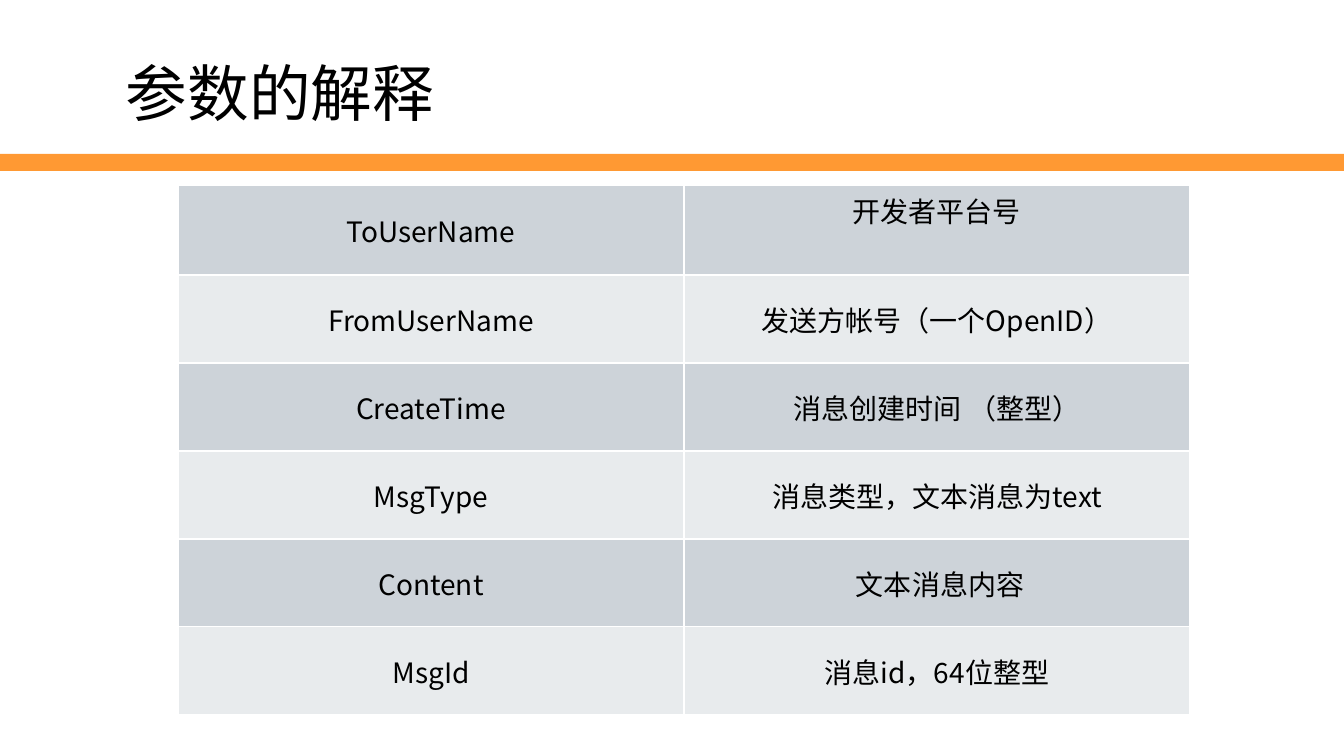
from lxml.etree import SubElement
from pptx import Presentation
from pptx.dml.color import RGBColor
from pptx.enum.shapes import MSO_SHAPE
from pptx.enum.text import MSO_ANCHOR as Anchor, PP_ALIGN as Align
from pptx.oxml.ns import qn
from pptx.util import Emu, Pt

# Content
TITLE = "参数的解释"
PARAMETERS = [
    ("ToUserName", "开发者平台号"),
    ("FromUserName", "发送方帐号（一个OpenID）"),
    ("CreateTime", "消息创建时间 （整型）"),
    ("MsgType", "消息类型，文本消息为text"),
    ("Content", " 文本消息内容"),
    ("MsgId", "消息id，64位整型"),
]

# Style and layout, in pixels
FONT = "Noto Sans CJK SC"
COLORS = {"text": "000000", "bar": "FF9933", "odd": "CDD3D9",
          "even": "E8EBED", "border": "FFFFFF"}
SLIDE_WIDTH, SLIDE_HEIGHT = 1344, 756
BAR_BOX = (0, 154, SLIDE_WIDTH, 17)
TITLE_BOX = (116, 59, 555, 76)
TABLE_LEFT, TABLE_TOP, COLUMN_WIDTH = 178, 185, 506
ROW_HEIGHTS = [90] + [88] * (len(PARAMETERS) - 1)
EMU_PER_PIXEL = 914400 / 100.8


def px(length):
    return Emu(round(length * EMU_PER_PIXEL))


def color(name):
    return RGBColor.from_string(COLORS[name])


def add_text(paragraph, text, size):
    run = paragraph.add_run()
    run.text = text
    run.font.size = Pt(size)
    run.font.name = FONT
    run.font.color.rgb = color("text")
    SubElement(run.font._element, qn("a:ea"), typeface=FONT)


def add_borders(cell):
    properties = cell._tc.get_or_add_tcPr()
    for position, side in enumerate(("a:lnL", "a:lnR", "a:lnT", "a:lnB")):
        line = properties.makeelement(qn(side), {"w": str(Pt(1))})
        fill = SubElement(line, qn("a:solidFill"))
        SubElement(fill, qn("a:srgbClr"), val=COLORS["border"])
        properties.insert(position, line)


presentation = Presentation()
presentation.slide_width = px(SLIDE_WIDTH)
presentation.slide_height = px(SLIDE_HEIGHT)
slide = presentation.slides.add_slide(presentation.slide_layouts[6])

# Orange bar
bar = slide.shapes.add_shape(MSO_SHAPE.RECTANGLE, *map(px, BAR_BOX))
bar.shadow.inherit = False
bar.fill.solid()
bar.fill.fore_color.rgb = color("bar")
bar.line.fill.background()

# Title
title_frame = slide.shapes.add_textbox(*map(px, TITLE_BOX)).text_frame
title_frame.word_wrap = True
title_frame.vertical_anchor = Anchor.MIDDLE
title_paragraph = title_frame.paragraphs[0]
title_paragraph.line_spacing = 0.9
title_paragraph.space_before = Pt(10)
add_text(title_paragraph, TITLE, 44)

# Parameter table
table = slide.shapes.add_table(
    len(PARAMETERS), 2, px(TABLE_LEFT), px(TABLE_TOP),
    px(2 * COLUMN_WIDTH), px(sum(ROW_HEIGHTS))).table
for column in table.columns:
    column.width = px(COLUMN_WIDTH)
for row_index, (texts, height) in enumerate(zip(PARAMETERS, ROW_HEIGHTS)):
    table.rows[row_index].height = px(height)
    for column_index, text in enumerate(texts):
        cell = table.cell(row_index, column_index)
        cell.fill.solid()
        cell.fill.fore_color.rgb = color("even" if row_index % 2 else "odd")
        add_borders(cell)
        cell.vertical_anchor = Anchor.MIDDLE
        paragraph = cell.text_frame.paragraphs[0]
        paragraph.alignment = Align.CENTER
        add_text(paragraph, text, 20)

# The first description sits at the top of its cell
table.cell(0, 1).vertical_anchor = Anchor.TOP

presentation.save("out.pptx")
